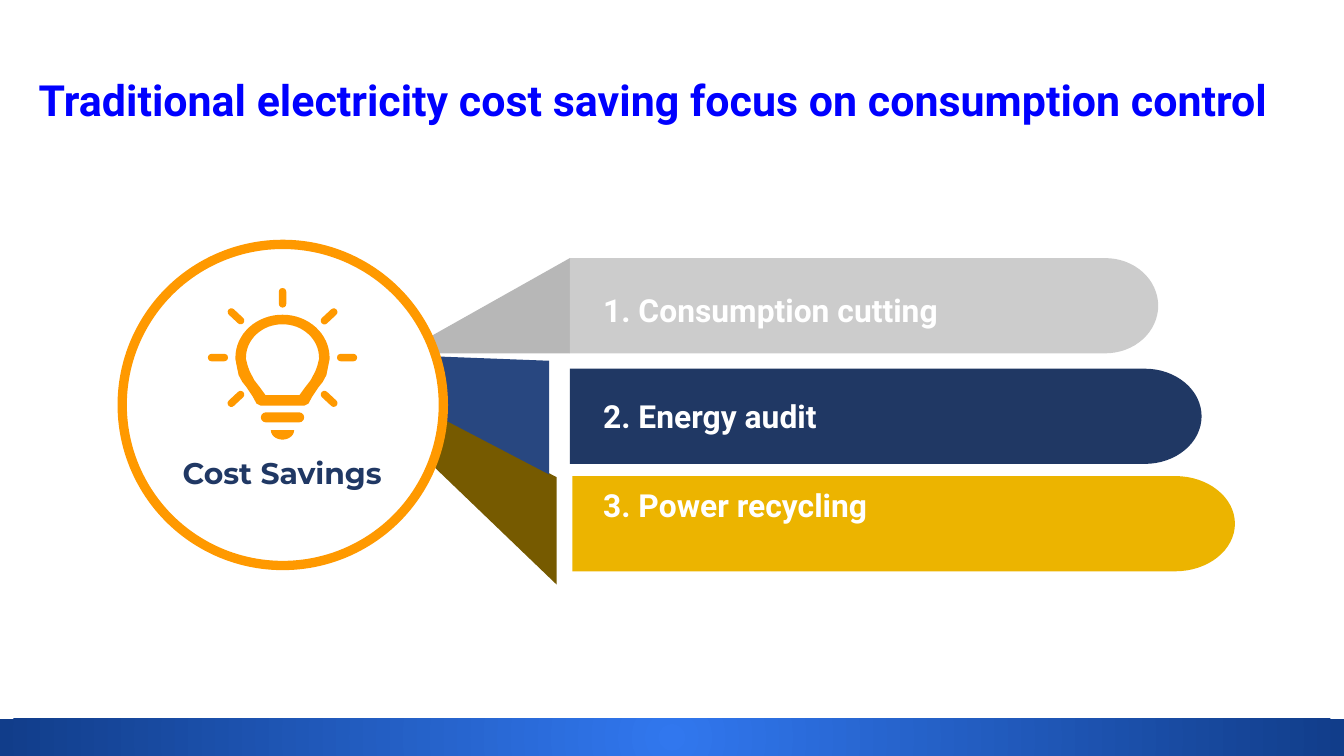
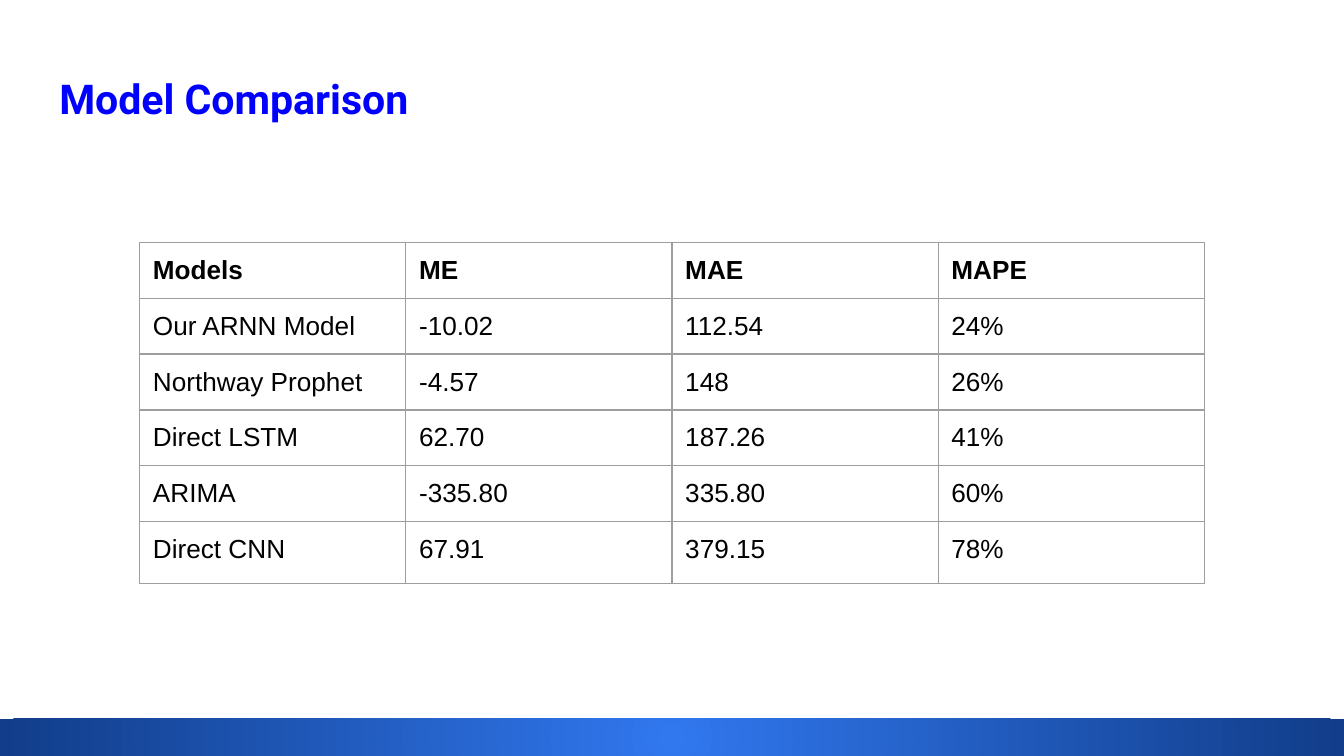
import math
from dataclasses import dataclass

import pptx
import pptx.dml.color
import pptx.enum.shapes
import pptx.enum.text
import pptx.oxml
import pptx.oxml.ns
import pptx.util

Cm = pptx.util.Cm
SHAPE = pptx.enum.shapes.MSO_SHAPE
ALIGN = pptx.enum.text.PP_ALIGN


@dataclass(frozen=True)
class Theme:
    title: str = "0000FF"
    band_centre: str = "3177EE"
    band_edge: str = "113D8A"
    white: str = "FFFFFF"
    black: str = "000000"
    orange: str = "FF9900"
    light_grey: str = "CCCCCC"
    grey: str = "B7B7B7"
    navy: str = "203864"
    blue: str = "284780"
    gold: str = "ECB400"
    ochre: str = "765A00"
    border: str = "9E9E9E"
    heading_font: str = "Roboto"
    badge_font: str = "Montserrat"
    table_font: str = "Arial"
    long_title_size: int = 23
    title_size: int = 22
    label_size: int = 17
    badge_size: int = 16
    table_size: int = 14
    border_width: float = 0.75


def rgb(colour):
    return pptx.dml.color.RGBColor.from_string(colour)


def arc(x, y, radius_x, radius_y, start, end, steps=32):
    """Points on an ellipse; angles in degrees, clockwise from the right."""
    angles = [math.radians(start + (end - start) * i / steps) for i in range(steps + 1)]
    return [(x + radius_x * math.cos(a), y + radius_y * math.sin(a)) for a in angles]


class Deck:
    def __init__(self, theme):
        self.theme = theme
        self.presentation = pptx.Presentation()
        self.presentation.slide_width = Cm(25.4)
        self.presentation.slide_height = Cm(14.29)
        self.slide = None

    def add_slide(self, title, box, size):
        first = self.slide is None
        self.slide = self.presentation.slides.add_slide(self.presentation.slide_layouts[5])
        if first:
            self.add_band()
        shape = self.slide.shapes.title
        shape.left, shape.top, shape.width, shape.height = map(Cm, box)
        self.set_text(shape.text_frame, title, size, self.theme.heading_font,
                      self.theme.title, margin=0.25)

    def add_band(self):
        """Draw the footer band once and hand it to the slide master."""
        shape = self.add_shape(SHAPE.RECTANGLE, (0, 13.59, 25.4, 0.7), self.theme.band_edge)
        shape.fill.gradient()
        stops = shape.fill.gradient_stops
        stops[0].color.rgb = rgb(self.theme.band_centre)
        stops[1].color.rgb = rgb(self.theme.band_edge)
        gradient = shape.element.spPr.find(pptx.oxml.ns.qn("a:gradFill"))
        gradient.remove(gradient.find(pptx.oxml.ns.qn("a:lin")))
        gradient.append(pptx.oxml.parse_xml(
            f'<a:path {pptx.oxml.ns.nsdecls("a")} path="circle">'
            '<a:fillToRect l="50000" t="50000" r="50000" b="50000"/></a:path>'))
        self.presentation.slide_master.shapes.element.append(shape.element)

    def set_text(self, text_frame, text, size, font, colour, margin=0.13,
                 align=ALIGN.LEFT, bold=True):
        text_frame.word_wrap = True
        text_frame.auto_size = pptx.enum.text.MSO_AUTO_SIZE.NONE
        text_frame.vertical_anchor = pptx.enum.text.MSO_ANCHOR.TOP
        text_frame.margin_left = text_frame.margin_right = Cm(0.25)
        text_frame.margin_top = text_frame.margin_bottom = Cm(margin)
        text_frame.text = text
        paragraph = text_frame.paragraphs[0]
        paragraph.alignment = align
        self.format_run(paragraph.runs[0], size, font, colour, bold)

    def format_run(self, run, size, font, colour, bold):
        run.font.size = pptx.util.Pt(size)
        run.font.name = font
        run.font.bold = bold
        run.font.color.rgb = rgb(colour)

    def add_text(self, text, box, size, font, colour, align=ALIGN.LEFT):
        shape = self.slide.shapes.add_textbox(*map(Cm, box))
        self.set_text(shape.text_frame, text, size, font, colour, align=align)

    def paint(self, shape, fill):
        shape.shadow.inherit = False
        shape.fill.solid()
        shape.fill.fore_color.rgb = rgb(fill)
        shape.line.fill.background()
        return shape

    def add_shape(self, kind, box, fill, rotation=0):
        shape = self.slide.shapes.add_shape(kind, *map(Cm, box))
        shape.rotation = rotation
        return self.paint(shape, fill)

    def add_outline(self, fill, *contours):
        """Closed shape; contours after the first cut holes."""
        builder = None
        for contour in contours:
            points = [(Cm(x), Cm(y)) for x, y in contour]
            if builder is None:
                builder = self.slide.shapes.build_freeform(*points[0], scale=1.0)
            else:
                builder.move_to(*points[0])
            builder.add_line_segments(points[1:], close=True)
        return self.paint(builder.convert_to_shape(), fill)

    def add_bar(self, left, top, width, height, fill):
        """Bar with a square left end and an elliptical right end."""
        radius = 0.09 * width
        end = arc(left + width - radius, top + height / 2, radius, height / 2, -90, 90)
        self.add_outline(fill, [(left, top), *end, (left, top + height)])

    def add_pill(self, x, y, length, thickness, rotation=0):
        box = (x - length / 2, y - thickness / 2, length, thickness)
        shape = self.add_shape(SHAPE.ROUNDED_RECTANGLE, box, self.theme.orange, rotation)
        shape.adjustments[0] = 0.5

    def add_bulb(self, x, y):
        """Light bulb whose round part is centred on x, y."""
        def glass(radius_x, radius_y, side):
            right = [(x + dx, y + dy) for dx, dy in side]
            left = [(x - dx, y + dy) for dx, dy in reversed(side)]
            return arc(x, y, radius_x, radius_y, 180, 360) + right + left

        outer = [(0.89, 0.03), (0.86, 0.18), (0.83, 0.33), (0.76, 0.46),
                 (0.68, 0.56), (0.56, 0.74), (0.49, 0.87), (0.41, 0.91)]
        inner = [(0.69, 0.03), (0.66, 0.15), (0.62, 0.26),
                 (0.53, 0.43), (0.43, 0.56), (0.32, 0.71)]
        self.add_outline(self.theme.orange, glass(0.89, 0.81, outer), glass(0.69, 0.63, inner))
        # Screw base
        self.add_pill(x, y + 1.13, 0.82, 0.19)
        self.add_outline(self.theme.orange, arc(x, y + 1.37, 0.22, 0.18, 0, 180))
        # Rays
        self.add_pill(x, y - 1.13, 0.37, 0.14, 90)
        for side in (-1, 1):
            self.add_pill(x + side * 1.22, y, 0.38, 0.14)
            for level in (-1, 1):
                self.add_pill(x + side * 0.88, y + level * 0.78, 0.38, 0.14, side * level * 43)

    def add_table(self, rows, left, top, column_width, row_heights):
        width = column_width * len(rows[0])
        frame = self.slide.shapes.add_table(len(rows), len(rows[0]), Cm(left), Cm(top),
                                            Cm(width), Cm(sum(row_heights)))
        table = frame.table
        table.first_row = table.horz_banding = False
        for column in table.columns:
            column.width = Cm(column_width)
        for index, (values, height) in enumerate(zip(rows, row_heights)):
            table.rows[index].height = Cm(height)
            for cell, value in zip(table.rows[index].cells, values):
                self.set_cell(cell, value, bold=index == 0)

    def set_cell(self, cell, value, bold):
        cell.margin_left = cell.margin_right = Cm(0.25)
        cell.margin_top = cell.margin_bottom = Cm(0.25)
        cell.text = value
        self.format_run(cell.text_frame.paragraphs[0].runs[0], self.theme.table_size,
                        self.theme.table_font, self.theme.black, bold)
        properties = cell._tc.get_or_add_tcPr()
        for edge in ("lnL", "lnR", "lnT", "lnB"):
            properties.append(pptx.oxml.parse_xml(
                f'<a:{edge} {pptx.oxml.ns.nsdecls("a")} '
                f'w="{pptx.util.Pt(self.theme.border_width)}"><a:solidFill>'
                f'<a:srgbClr val="{self.theme.border}"/></a:solidFill></a:{edge}>'))
        cell.fill.background()


def build_cost_slide(deck):
    theme = deck.theme
    deck.add_slide("Traditional electricity cost saving focus on consumption control",
                   (0.48, 1.14, 24.51, 2.69), theme.long_title_size)

    # Wedges fanning out from behind the circle
    apex = (5.94, 6.65)
    for x, top, bottom, colour in ((10.52, 9.02, 11.05, theme.ochre),
                                   (10.38, 6.82, 8.97, theme.blue)):
        deck.add_outline(colour, [apex, (x, top), (x, bottom)])
    deck.add_outline(theme.grey, [(7.57, 6.68), (10.77, 4.88), (10.77, 6.68)])

    # Bars and their labels
    bars = (
        ("1. Consumption cutting", 10.77, 4.88, 11.12, theme.light_grey, (5.36, 11.46, 0.84)),
        ("2. Energy audit", 10.77, 6.97, 11.94, theme.navy, (7.37, 10, 0.84)),
        ("3. Power recycling", 10.82, 9, 12.52, theme.gold, (9.06, 11.96, 1.68)),
    )
    for label, left, top, width, colour, label_box in bars:
        deck.add_bar(left, top, width, 1.8, colour)
        deck.add_text(label, (11.15, *label_box), theme.label_size,
                      theme.heading_font, theme.white)

    # Circle with the light bulb
    circle = deck.add_shape(SHAPE.OVAL, (2.31, 4.62, 6.07, 6.07), theme.white)
    circle.line.color.rgb = rgb(theme.orange)
    circle.line.width = pptx.util.Pt(5)
    deck.add_text("Cost Savings", (3.1, 8.47, 4.47, 1.35), theme.badge_size,
                  theme.badge_font, theme.navy, ALIGN.CENTER)
    deck.add_bulb(5.34, 6.76)


def build_model_slide(deck):
    deck.add_slide("Model Comparison", (0.87, 1.14, 23.67, 1.68), deck.theme.title_size)
    rows = (
        ("Models", "ME", "MAE", "MAPE"),
        ("Our ARNN Model", "-10.02", "112.54", "24%"),
        ("Northway Prophet", "-4.57", "148", "26%"),
        ("Direct LSTM", "62.70", "187.26", "41%"),
        ("ARIMA", "-335.80", "335.80", "60%"),
        ("Direct CNN", "67.91", "379.15", "78%"),
    )
    deck.add_table(rows, 2.64, 4.58, 5.03, [0.99] * 5 + [1.17])


def main():
    deck = Deck(Theme())
    build_cost_slide(deck)
    build_model_slide(deck)
    deck.presentation.save("out.pptx")


if __name__ == "__main__":
    main()
